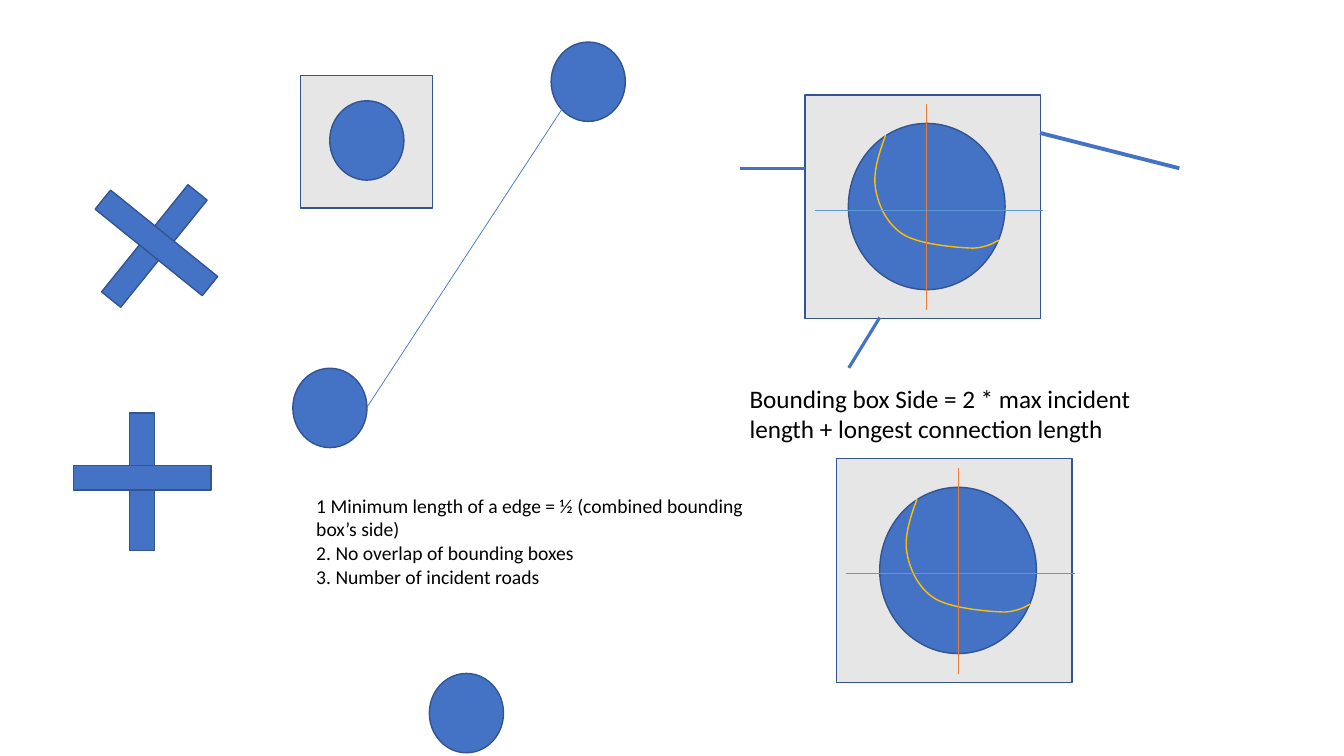
from lxml.etree import SubElement
from pptx import Presentation
from pptx.dml.color import RGBColor
from pptx.enum.shapes import MSO_CONNECTOR as Connector, MSO_SHAPE as Shape
from pptx.enum.text import MSO_AUTO_SIZE as AutoSize
from pptx.oxml.ns import qn
from pptx.util import Cm, Pt

BLUE = RGBColor(0x44, 0x72, 0xC4)
NAVY = RGBColor(0x32, 0x54, 0x91)
GRAY = RGBColor(0xE7, 0xE6, 0xE6)
GOLD = RGBColor(0xFF, 0xC0, 0x00)
ORANGE = RGBColor(0xED, 0x7D, 0x31)
LIGHT_BLUE = RGBColor(0x5B, 0x9B, 0xD5)
BLACK = RGBColor(0, 0, 0)

NODE_SIZE = (1.87, 2)
BAR_SIZE = (0.62, 3.47)
ROAD_CURVE = [
    (2.03, 1.02),
    (1.85, 1.5), (1.7, 1.98), (1.78, 2.39),
    (1.85, 2.79), (2.06, 3.25), (2.46, 3.51),
    (2.84, 3.76), (3.73, 3.84), (4.14, 3.86),
    (4.55, 3.89), (4.88, 3.66), (4.88, 3.66),
]


def add_outlined(shapes, preset, left, top, width, height, fill=BLUE, rotation=0):
    outlined = shapes.add_shape(preset, Cm(left), Cm(top), Cm(width), Cm(height))
    outlined.shadow.inherit = False
    outlined.fill.solid()
    outlined.fill.fore_color.rgb = fill
    outlined.line.color.rgb = NAVY
    outlined.line.width = Pt(1)
    outlined.rotation = rotation


def add_line(shapes, start, end, color=BLUE, width=0.5):
    line = shapes.add_connector(Connector.STRAIGHT, *map(Cm, start + end))
    line.line.color.rgb = color
    line.line.width = Pt(width)
    SubElement(line.element.spPr, qn("a:effectLst"))


def add_curve(shapes, points, color):
    start, *controls = [(Cm(x), Cm(y)) for x, y in points]
    builder = shapes.build_freeform(*start)
    builder.add_line_segments(controls, close=False)
    curve = builder.convert_to_shape()
    curve.shadow.inherit = False
    curve.fill.background()
    curve.line.color.rgb = color
    curve.line.width = Pt(1)
    segments = list(curve.element.iter(qn("a:lnTo")))
    outline = segments[0].getparent()
    for first in range(0, len(segments), 3):
        bezier = SubElement(outline, qn("a:cubicBezTo"))
        for segment in segments[first:first + 3]:
            bezier.append(segment[0])
            outline.remove(segment)


def add_text(shapes, lines, left, top, width, height, size, font="Calibri", color=BLACK):
    frame = shapes.add_textbox(Cm(left), Cm(top), Cm(width), Cm(height)).text_frame
    frame.word_wrap = True
    frame.auto_size = AutoSize.SHAPE_TO_FIT_TEXT
    frame.text = "\n".join(lines)
    for paragraph in frame.paragraphs:
        paragraph.font.size = Pt(size)
        paragraph.font.name = font
        paragraph.font.color.rgb = color


def add_junction(shapes, left, top):
    junction = shapes.add_group_shape().shapes
    add_outlined(junction, Shape.RECTANGLE, left, top, 5.94, 5.64, fill=GRAY)
    add_outlined(junction, Shape.OVAL, left + 1.09, top + 0.72, 3.95, 4.19)
    add_curve(junction, [(left + x, top + y) for x, y in ROAD_CURVE], GOLD)
    add_line(junction, (left + 3.06, top + 0.23), (left + 3.06, top + 5.42), ORANGE)
    add_line(junction, (left + 0.24, top + 2.9), (left + 6, top + 2.9), LIGHT_BLUE)


def add_cross(shapes, centers, angle):
    cross = shapes.add_group_shape().shapes
    width, height = BAR_SIZE
    for turn, (x, y) in enumerate(centers):
        add_outlined(cross, Shape.RECTANGLE, x - width / 2, y - height / 2,
                     width, height, rotation=angle + 90 * turn)


def main():
    deck = Presentation()
    deck.slide_width, deck.slide_height = Cm(33.87), Cm(19.05)
    shapes = deck.slides.add_slide(deck.slide_layouts[6]).shapes

    add_outlined(shapes, Shape.RECTANGLE, 7.57, 1.91, 3.33, 3.33, fill=GRAY)
    for left, top in [(7.38, 9.28), (10.82, 16.97), (8.31, 2.54), (13.89, 1.06)]:
        add_outlined(shapes, Shape.OVAL, left, top, *NODE_SIZE)

    add_junction(shapes, 20.29, 2.39)
    add_text(shapes,
             ["Bounding box Side = 2 * max incident length + longest connection length"],
             18.64, 9.53, 11.84, 1.8, size=18)

    add_cross(shapes, [(3.58, 12.14), (3.58, 12.04)], 0)
    add_cross(shapes, [(3.89, 6.2), (3.94, 6.12)], 38.9)

    add_line(shapes, (9.25, 10.26), (14.17, 2.74))
    add_text(shapes,
             ["1 Minimum length of a edge = ½ (combined bounding box’s side)",
              "2. No overlap of bounding boxes",
              "3. Number of incident roads"],
             7.72, 12.32, 11.79, 2.64, size=14)

    add_junction(shapes, 21.08, 11.56)
    for start, end, width in [((20.29, 4.24), (18.64, 4.24), 2.25),
                              ((22.17, 8), (21.39, 9.27), 2.25),
                              ((29.72, 4.24), (26.21, 3.35), 2.75)]:
        add_line(shapes, start, end, width=width)

    deck.save("out.pptx")


main()
